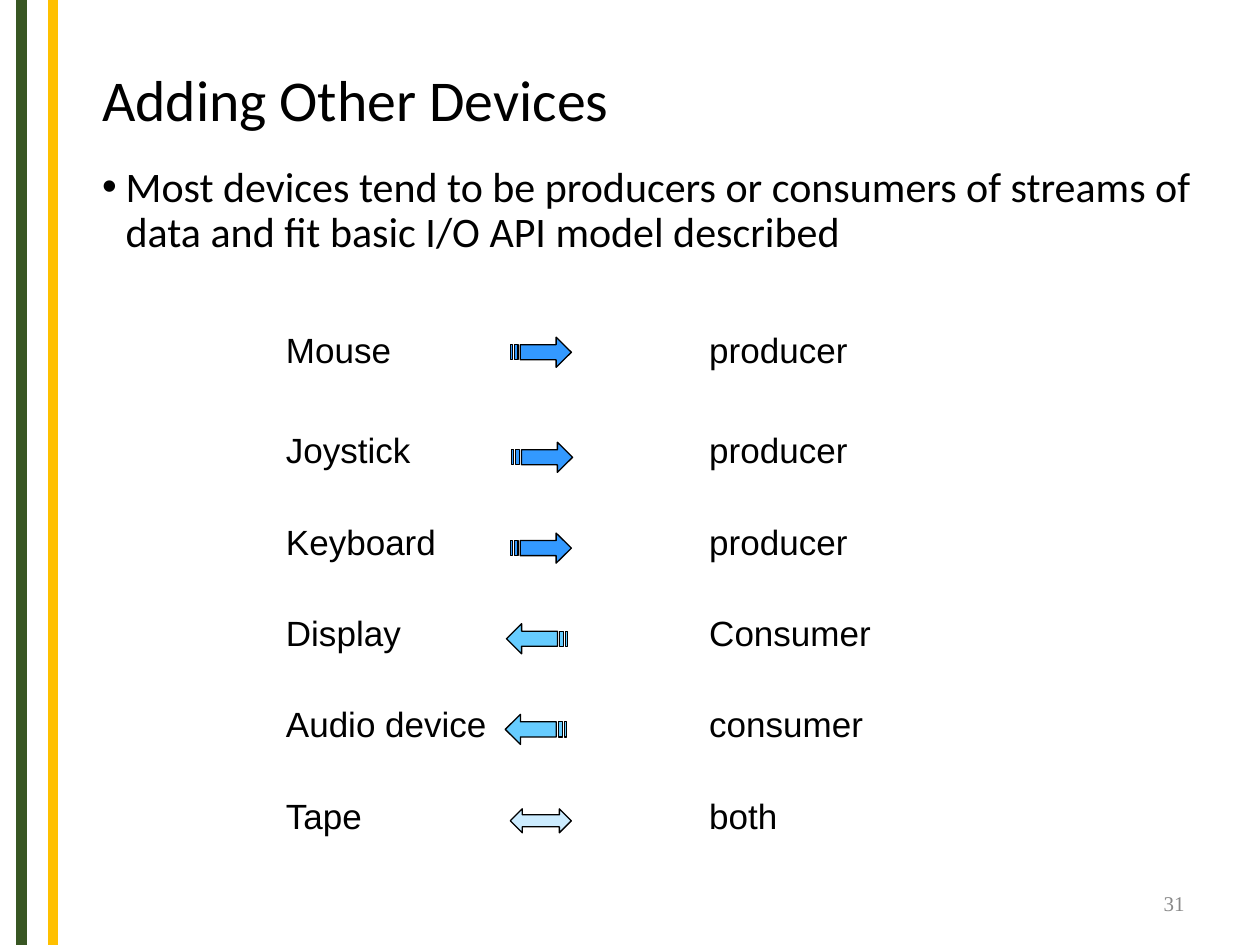
from lxml.etree import SubElement
from pptx import Presentation
from pptx.dml.color import RGBColor
from pptx.enum.shapes import MSO_CONNECTOR, MSO_SHAPE
from pptx.enum.text import MSO_ANCHOR, MSO_AUTO_SIZE, PP_ALIGN
from pptx.oxml.ns import qn
from pptx.util import Pt

TITLE = "Adding Other Devices"
BODY = ("Most devices tend to be producers or consumers of streams of data "
        "and fit basic I/O API model described")
PAGE_NUMBER = "31"
STRIPES = [(12.24, "385623"), (30.24, "FFC000")]
DEVICES = [("Mouse", "producer"), ("Joystick", "producer"), ("Keyboard", "producer"),
           ("Display", "Consumer"), ("Audio device", "consumer"), ("Tape", "both")]
COLUMN_WIDTHS = [186.5, 55.4, 166.3]
ROW_HEIGHTS = [57.6] + [52.2] * 5
ARROWS = [(291.6, 192.7, "right"), (292.3, 252.7, "right"), (291.6, 304.6, "right"),
          (289.4, 356.4, "left"), (288.7, 408.2, "left")]
ARROW_WIDTH = 34.9
ARROW_FILLS = {"right": "3399FF", "left": "66CCFF"}
ARROW_OUTLINES = [
    [(26.2, 0), (26.2, 4.3), (5.7, 4.3), (5.7, 12.9), (26.2, 12.9), (26.2, 17.2), (34.9, 8.6)],
    [(2.3, 4.3), (2.3, 12.9), (4.4, 12.9), (4.4, 4.3)],
    [(0, 4.3), (0, 12.9), (1.1, 12.9), (1.1, 4.3)],
]


def color(value):
    return RGBColor.from_string(value)


def write(frame, text, size, font="Calibri", fill="000000", align=PP_ALIGN.LEFT,
          anchor=MSO_ANCHOR.TOP, spacing=None, bullet=None):
    frame.word_wrap = True
    frame.vertical_anchor = anchor
    paragraph = frame.paragraphs[0]
    if bullet:
        properties = paragraph._p.get_or_add_pPr()
        properties.set("marL", str(Pt(13.5)))
        properties.set("indent", str(-Pt(13.5)))
        SubElement(properties, qn("a:buFont"), typeface="Arial")
        SubElement(properties, qn("a:buChar"), char=bullet)
    paragraph.alignment = align
    paragraph.space_before = Pt(0)
    if spacing:
        paragraph.line_spacing = spacing
    run = paragraph.add_run()
    run.text = text
    run.font.size = Pt(size)
    run.font.name = font
    run.font.color.rgb = color(fill)


def place(shape, left, top, width, height):
    shape.left, shape.top = Pt(left), Pt(top)
    shape.width, shape.height = Pt(width), Pt(height)
    shape.text_frame.auto_size = MSO_AUTO_SIZE.NONE


def paint(shape, fill):
    shape.shadow.inherit = False
    shape.fill.solid()
    shape.fill.fore_color.rgb = color(fill)
    shape.line.color.rgb = color("000000")
    shape.line.width = Pt(0.75)


def add_striped_arrow(shapes, left, top, direction):
    def position(point):
        x, y = point
        if direction == "left":
            x = ARROW_WIDTH - x
        return Pt(left + x), Pt(top + y)

    outlines = [[position(point) for point in outline] for outline in ARROW_OUTLINES]
    builder = shapes.build_freeform(*outlines[0][0])
    for index, outline in enumerate(outlines):
        if index:
            builder.move_to(*outline[0])
        builder.add_line_segments(outline[1:], close=True)
    paint(builder.convert_to_shape(), ARROW_FILLS[direction])


def add_stripe(shapes, x, fill):
    stripe = shapes.add_connector(MSO_CONNECTOR.STRAIGHT, Pt(x), Pt(0), Pt(x), Pt(540))
    stripe.line.color.rgb = color(fill)
    stripe.line.width = Pt(6)
    SubElement(stripe._element.spPr, qn("a:effectLst"))


def add_device_table(shapes):
    table = shapes.add_table(len(DEVICES), len(COLUMN_WIDTHS), Pt(156.2), Pt(185.8),
                             Pt(sum(COLUMN_WIDTHS)), Pt(sum(ROW_HEIGHTS))).table
    table.first_row = table.horz_banding = False
    for column, width in zip(table.columns, COLUMN_WIDTHS):
        column.width = Pt(width)
    for row, height, (device, role) in zip(table.rows, ROW_HEIGHTS, DEVICES):
        row.height = Pt(height)
        for cell, text in zip(row.cells, (device, "", role)):
            cell.fill.background()
            if text:
                write(cell.text_frame, text, 20, font="Arial")


def main():
    presentation = Presentation()
    presentation.slide_width, presentation.slide_height = Pt(720), Pt(540)
    slide = presentation.slides.add_slide(presentation.slide_layouts[1])
    shapes = slide.shapes

    for x, fill in STRIPES:
        add_stripe(shapes, x, fill)

    title, body = shapes.title, slide.placeholders[1]
    place(title, 51.1, 31.7, 645.8, 54)
    write(title.text_frame, TITLE, 33, anchor=MSO_ANCHOR.MIDDLE, spacing=0.9)
    place(body, 51.1, 91.4, 666, 94.3)
    write(body.text_frame, BODY, 24, spacing=0.9, bullet="•")

    add_device_table(shapes)
    for left, top, direction in ARROWS:
        add_striped_arrow(shapes, left, top, direction)
    both_ways = shapes.add_shape(MSO_SHAPE.LEFT_RIGHT_ARROW, Pt(291.6), Pt(462.2),
                                 Pt(ARROW_WIDTH), Pt(13.7))
    paint(both_ways, "CCECFF")

    number = shapes.add_textbox(Pt(534.2), Pt(504), Pt(149.8), Pt(23.8))
    write(number.text_frame, PAGE_NUMBER, 12, font="Times New Roman", fill="888888",
          align=PP_ALIGN.RIGHT, anchor=MSO_ANCHOR.MIDDLE)

    presentation.save("out.pptx")


if __name__ == "__main__":
    main()
